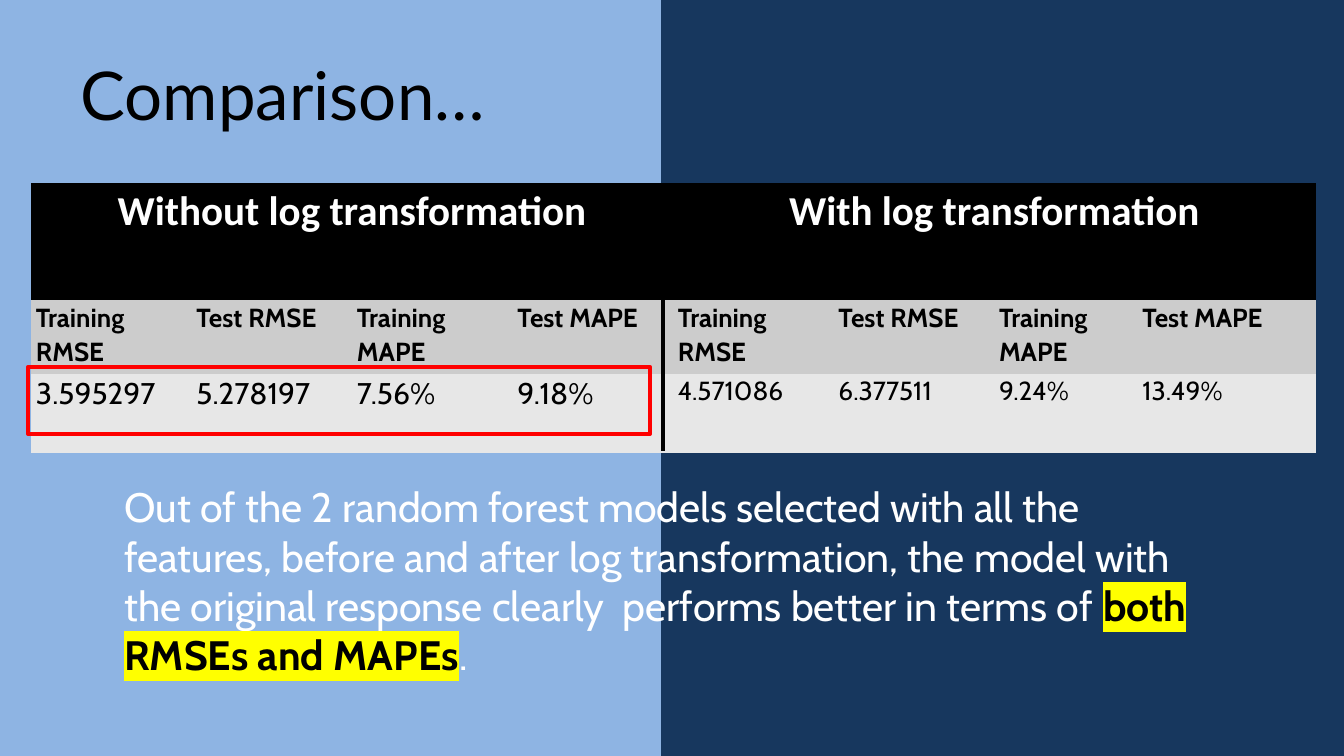
"""Build a slide that compares two random forest models in one table."""
from lxml import etree
from pptx import Presentation
from pptx import util as u
from pptx.dml.color import RGBColor
from pptx.enum import shapes, text
from pptx.oxml.ns import qn

Pt = u.Pt
WIDE, HIGH = 1440, 810
SPLIT = 708.5
TITLE = "Comparison…"
HEADS = ["Without log transformation", "With log transformation"]
NAMES = ["Training RMSE", "Test RMSE", "Training MAPE", "Test MAPE"] * 2
VALUES = ["3.595297", "5.278197", "7.56%", "9.18%",
          "4.571086", "6.377511", "9.24%", "13.49%"]
COLS = [172] * 6 + [153.5, 191]
ROWS = [125.3, 78.5, 85]
NOTE = [
    ("Out of the 2 random forest models selected with all the features, "
     "before and after log transformation, the model with the original "
     "response clearly  performs better in terms of ", "FFFFFF", False, None),
    ("both RMSEs and MAPEs", "000000", True, "FFFF00"),
    (".", "FFFFFF", False, None),
]


def paint(fill, tint):
    fill.solid()
    fill.fore_color.rgb = RGBColor.from_string(tint)


def write(para, words, size, face, tint, bold=False, mark=None):
    run = para.add_run()
    run.text = words
    font = run.font
    font.size, font.name, font.bold = Pt(size), face, bold
    paint(font.fill, tint)
    if mark:
        glow = etree.Element(qn("a:highlight"))
        etree.SubElement(glow, qn("a:srgbClr"), val=mark)
        run._r.rPr.find(qn("a:solidFill")).addnext(glow)


def place(shape, left, top, width, height):
    shape.left, shape.top = Pt(left), Pt(top)
    shape.width, shape.height = Pt(width), Pt(height)


def block(slide, left, top, width, height):
    shape = slide.shapes.add_shape(
        shapes.MSO_SHAPE.RECTANGLE, Pt(left), Pt(top), Pt(width), Pt(height))
    shape.shadow.inherit = False
    return shape


def add_title(slide):
    title = slide.shapes.title
    place(title, 86.4, 57, 975, 87)
    frame = title.text_frame
    frame.auto_size = text.MSO_AUTO_SIZE.NONE
    frame.vertical_anchor = text.MSO_ANCHOR.TOP
    frame.margin_left = frame.margin_top = 0
    frame.margin_right = frame.margin_bottom = 0
    para = frame.paragraphs[0]
    para.alignment = text.PP_ALIGN.LEFT
    write(para, TITLE, 72, "Lato", "000000")


def add_grid(slide):
    grid = slide.shapes.add_table(
        len(ROWS), len(COLS), Pt(33.5), Pt(196.4),
        Pt(sum(COLS)), Pt(sum(ROWS))).table
    style = grid._tbl.tblPr.find(qn("a:tableStyleId"))
    style.text = "{2D5ABB26-0587-4C30-8999-92F81FD0307C}"
    for col, width in zip(grid.columns, COLS):
        col.width = Pt(width)
    for row, height in zip(grid.rows, ROWS):
        row.height = Pt(height)
    for i, head in enumerate(HEADS):
        cell = grid.cell(0, 4 * i)
        cell.merge(grid.cell(0, 4 * i + 3))
        paint(cell.fill, "000000")
        para = cell.text_frame.paragraphs[0]
        para.alignment = text.PP_ALIGN.CENTER
        write(para, head, 44, "Calibri", "FFFFFF", True)
    for r, (items, tint) in enumerate([(NAMES, "CCCCCC"), (VALUES, "E7E7E7")], 1):
        for c, item in enumerate(items):
            cell = grid.cell(r, c)
            paint(cell.fill, tint)
            cell.margin_left = cell.margin_right = Pt(5)
            cell.margin_top = cell.margin_bottom = 0
            para = cell.text_frame.paragraphs[0]
            para.line_spacing = 1.07
            size = 32 if r == 2 and c < 4 else 28
            write(para, item, size, "Cabin", "000000", r == 1)


def add_marks(slide):
    line = slide.shapes.add_connector(
        shapes.MSO_CONNECTOR.STRAIGHT, Pt(710), Pt(235), Pt(710), Pt(483))
    etree.SubElement(line._element.spPr, qn("a:effectLst"))
    frame = block(slide, 30.2, 393, 666, 72)
    frame.fill.background()
    for shape, tint in [(line, "000000"), (frame, "FF0000")]:
        paint(shape.line.fill, tint)
        shape.line.width = Pt(4.5)


def add_note(slide):
    box = slide.shapes.add_textbox(Pt(126), Pt(512.6), Pt(1176), Pt(220))
    box.text_frame.word_wrap = True
    for words, tint, bold, mark in NOTE:
        write(box.text_frame.paragraphs[0], words, 44, "Cabin", tint, bold, mark)


def main():
    deck = Presentation()
    deck.slide_width, deck.slide_height = Pt(WIDE), Pt(HIGH)
    slide = deck.slides.add_slide(deck.slide_layouts[5])
    paint(slide.background.fill, "8EB4E3")
    half = block(slide, SPLIT, 0, WIDE - SPLIT, HIGH)
    paint(half.fill, "17375E")
    half.line.fill.background()
    add_title(slide)
    add_grid(slide)
    add_marks(slide)
    add_note(slide)
    deck.save("out.pptx")


if __name__ == "__main__":
    main()
